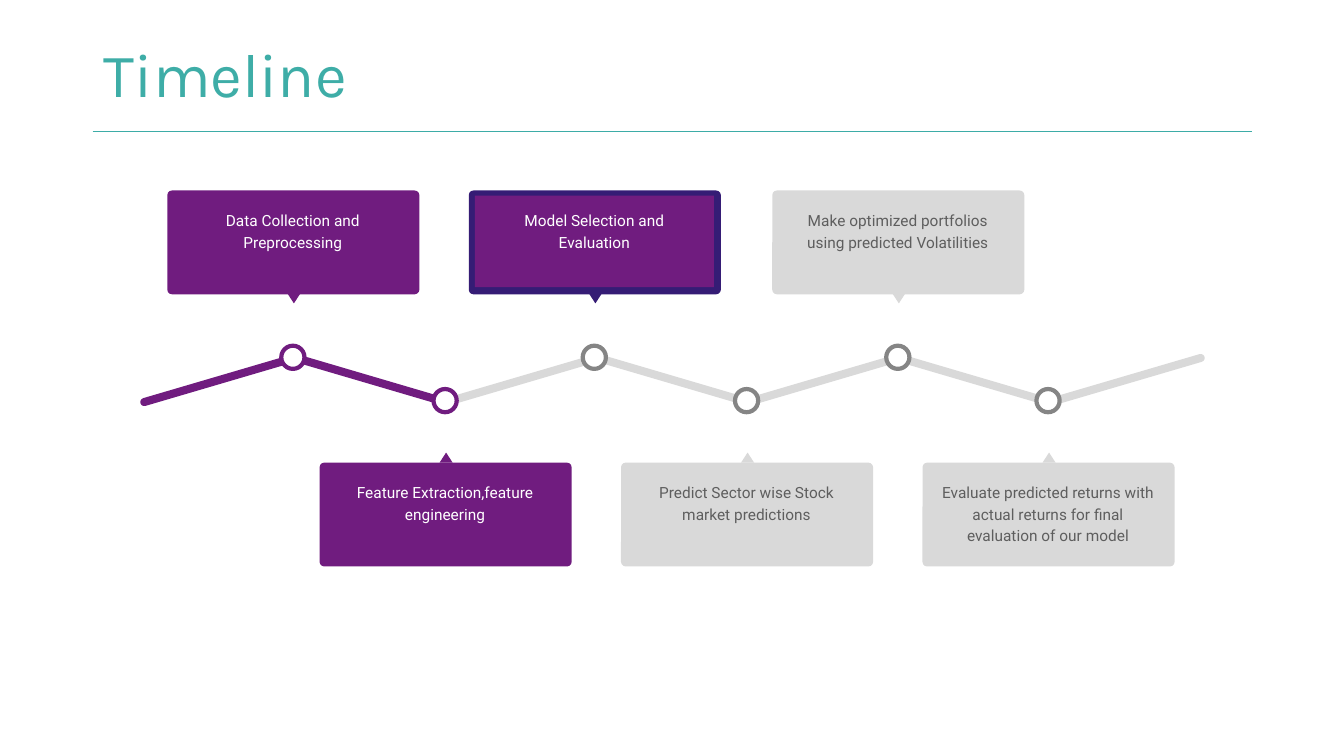
from dataclasses import dataclass

from lxml import etree
from pptx import Presentation
from pptx.dml.color import RGBColor
from pptx.enum.shapes import MSO_CONNECTOR, MSO_SHAPE
from pptx.enum.text import MSO_ANCHOR, PP_ALIGN
from pptx.oxml.ns import qn
from pptx.util import Pt

PX = 9144
TITLE_ONLY = 5
STRAIGHT = MSO_CONNECTOR.STRAIGHT
OVAL, RECTANGLE = MSO_SHAPE.OVAL, MSO_SHAPE.RECTANGLE
ROUNDED, TRIANGLE = MSO_SHAPE.ROUNDED_RECTANGLE, MSO_SHAPE.ISOSCELES_TRIANGLE
TOP, MIDDLE = MSO_ANCHOR.TOP, MSO_ANCHOR.MIDDLE
LEFT, CENTER = PP_ALIGN.LEFT, PP_ALIGN.CENTER

WHITE = RGBColor(0xFF, 0xFF, 0xFF)
TEAL = RGBColor(0x3E, 0xAD, 0xA7)
RULE_TEAL = RGBColor(0x3D, 0xAC, 0xA7)
PURPLE = RGBColor(0x70, 0x1C, 0x7F)
INDIGO = RGBColor(0x35, 0x1C, 0x75)
SILVER = RGBColor(0xD9, 0xD9, 0xD9)
GRAY = RGBColor(0x85, 0x85, 0x85)
DARK_GRAY = RGBColor(0x5E, 0x5E, 0x5E)


@dataclass
class Style:
    """Colours of one milestone."""
    card: RGBColor
    label: RGBColor
    ring: RGBColor
    text: RGBColor


DONE = Style(PURPLE, PURPLE, PURPLE, WHITE)
CURRENT = Style(INDIGO, PURPLE, GRAY, WHITE)
PENDING = Style(SILVER, SILVER, GRAY, DARK_GRAY)

MILESTONES = [
    (291, "Data Collection and Preprocessing", DONE),
    (442, "Feature Extraction,feature engineering", DONE),
    (590, "Model Selection and Evaluation", CURRENT),
    (741, "Predict Sector wise Stock market predictions", PENDING),
    (891, "Make optimized portfolios using predicted Volatilities", PENDING),
    (1040, "Evaluate predicted returns with actual returns for final "
           "evaluation of our model", PENDING),
]
BAR_COLORS = [PURPLE] * 2 + [SILVER] * 5


def emu(*lengths):
    """Turn px lengths into EMU."""
    return [length * PX for length in lengths]


def apply(target, **values):
    """Set each named attribute of the target."""
    for name, value in values.items():
        setattr(target, name, value)


def add_plain(shapes, kind, box, fill, rotation=0, corner=None):
    """Add a filled shape without outline or shadow."""
    shape = shapes.add_shape(kind, *emu(*box))
    shape.shadow.inherit = False
    shape.fill.solid()
    shape.fill.fore_color.rgb = fill
    shape.line.fill.background()
    shape.rotation = rotation
    if corner is not None:
        shape.adjustments[0] = corner
    return shape


def write(shape, text, inset, anchor, para_format, font_format, color):
    """Put one formatted paragraph into a shape."""
    frame = shape.text_frame
    margin = inset * PX
    apply(frame, word_wrap=True, vertical_anchor=anchor, margin_left=margin,
          margin_right=margin, margin_top=margin, margin_bottom=margin)
    para = frame.paragraphs[0]
    apply(para, **para_format)
    span = para.add_run()
    span.text = text
    apply(span.font, **font_format)
    span.font.color.rgb = color


def add_header(page, box):
    """Place the title and the rule below it."""
    left, top, width, height = box
    title = page.shapes.title
    names = ("left", "top", "width", "height")
    apply(title, **dict(zip(names, emu(left + 1, top, 1036, height))))
    write(title, "Timeline", 10, MIDDLE, {"alignment": LEFT},
          {"size": Pt(44), "name": "Karla"}, TEAL)
    rule_y = top + height + 7
    rule = page.shapes.add_connector(
        STRAIGHT, *emu(left, rule_y, left + width, rule_y))
    rule.line.color.rgb = RULE_TEAL
    rule.line.width = Pt(0.75)
    etree.SubElement(rule._element.spPr, qn("a:effectLst"))


def add_path(page, box):
    """Draw the zigzag of bars, with the finished ones in front."""
    left, top, width, height = box
    bar_width = 163
    step = (width - bar_width) / (len(BAR_COLORS) - 1)
    for index, color in reversed(list(enumerate(BAR_COLORS))):
        bar = (left + round(index * step), top, bar_width, height)
        angle = 16.4 if index % 2 else 343.6
        add_plain(page.shapes, ROUNDED, bar, color, angle, 0.5)


def add_milestone(page, box, above, text, style):
    """Group a card, its pointer, its label and its ring on the path."""
    left, top, width, height = box
    center = left + width // 2
    shapes = page.shapes.add_group_shape().shapes
    ring_y = top + 154 if above else top - 73
    ring = add_plain(shapes, OVAL, (center - 12, ring_y, 23, 23), WHITE)
    ring.line.color.rgb = style.ring
    ring.line.width = Pt(3)
    add_plain(shapes, ROUNDED, box, style.card, corner=0.045)
    pointer_y = top + height - 1 if above else top - 10
    add_plain(shapes, TRIANGLE, (center - 6, pointer_y, 13, 10),
              style.card, 180 if above else 0)
    label = add_plain(shapes, RECTANGLE,
                      (left + 6, top + 5, width - 13, height - 12), style.label)
    write(label, text, 13, TOP,
          {"alignment": CENTER, "line_spacing": 1.15, "space_after": Pt(21)},
          {"size": Pt(11), "name": "Roboto"}, style.text)


def add_timeline(page, box):
    """Place the path and the cards alternately above and below it."""
    left, top, width, height = box
    card_width, card_height = 250, 103
    add_path(page, (left, top + 184, width, 8))
    for index, (center, text, style) in enumerate(MILESTONES):
        above = index % 2 == 0
        card_top = top if above else top + height - card_height
        card = (center - card_width // 2, card_top, card_width, card_height)
        add_milestone(page, card, above, text, style)


def main():
    """Build and save the deck."""
    deck = Presentation()
    deck.slide_width, deck.slide_height = emu(1333, 750)
    page = deck.slides.add_slide(deck.slide_layouts[TITLE_ONLY])
    add_header(page, (92, 22, 1150, 101))
    add_timeline(page, (136, 189, 1062, 373))
    deck.save("out.pptx")


if __name__ == "__main__":
    main()
